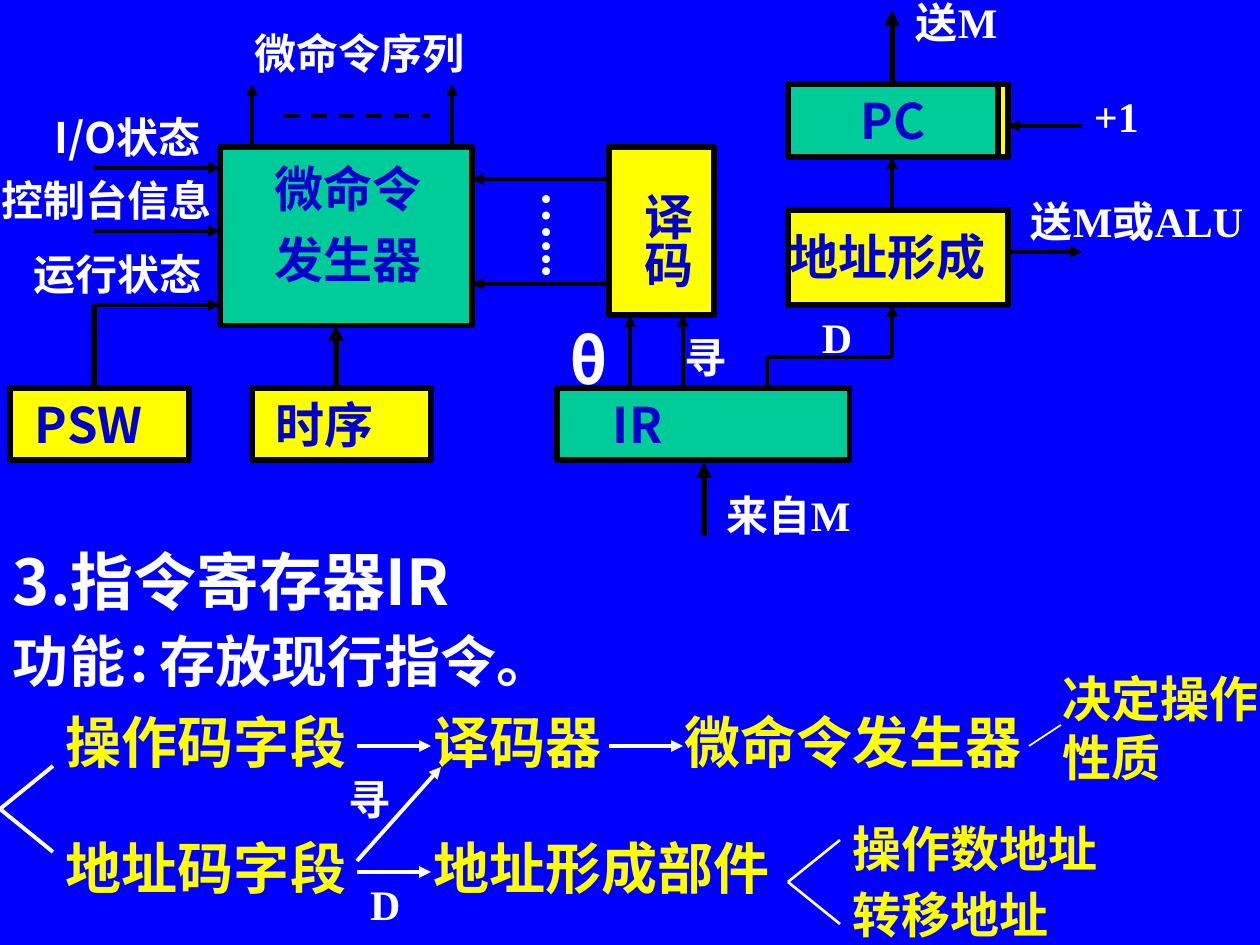
from pptx import Presentation
from pptx.dml.color import RGBColor
from pptx.enum.dml import MSO_LINE
from pptx.enum.shapes import MSO_CONNECTOR, MSO_SHAPE
from pptx.enum.text import MSO_ANCHOR, MSO_AUTO_SIZE, PP_ALIGN
from pptx.oxml.ns import qn
from pptx.util import Pt
from lxml.etree import SubElement

EMU_PER_PX = 914400 // 126
NOTO, TIMES = "Noto Sans CJK SC", "Times New Roman"
BLUE, NAVY, WHITE, YELLOW = "0000FF", "0000CC", "FFFFFF", "FFFF00"
GREEN, BLACK = "00CC99", "000000"


def px(n):
    return n * EMU_PER_PX


def rgb(color):
    return RGBColor.from_string(color)


class Diagram:
    """Holds the text style and the slide being drawn."""

    def __init__(self, slide, ea_font=NOTO):
        self.slide = slide
        self.ea_font = ea_font

    def background(self, color):
        fill = self.slide.background.fill
        fill.solid()
        fill.fore_color.rgb = rgb(color)

    def set_text(self, sp, lines, size, color, font=TIMES, spacing=1.0, indent=13):
        """Put bold, left-aligned paragraphs at the top of a shape."""
        tf = sp.text_frame
        tf.text = lines
        tf.word_wrap = True
        tf.auto_size = MSO_AUTO_SIZE.SHAPE_TO_FIT_TEXT
        tf.vertical_anchor = MSO_ANCHOR.TOP
        tf.margin_left = px(indent)
        for p in tf.paragraphs:
            p.alignment = PP_ALIGN.LEFT
            p.line_spacing = spacing
            p.space_before = Pt(size * 0.625)
            f = p.font
            f.size, f.bold, f.name = Pt(size), True, font
            f.color.rgb = rgb(color)
            SubElement(f._element, qn("a:ea"), typeface=self.ea_font)

    def text(self, x, y, w, h, lines, size=24, color=WHITE, **style):
        sp = self.slide.shapes.add_textbox(px(x), px(y), px(w), px(h))
        self.set_text(sp, lines, size, color, **style)

    def vertical_text(self, x, y, w, h, line, color):
        sp = self.slide.shapes.add_textbox(px(x), px(y), px(w), px(h))
        self.set_text(sp, line, 28, color, indent=6)
        tf = sp.text_frame
        tf.margin_right = px(6)
        tf.margin_top = tf.margin_bottom = px(13)
        tf._txBody.bodyPr.set("vert", "eaVert")

    def placeholder(self, idx, x, y, w, h, lines, size, color, **style):
        sp = self.slide.placeholders[idx]
        sp.left, sp.top, sp.width, sp.height = px(x), px(y), px(w), px(h)
        self.set_text(sp, lines, size, color, **style)
        for p in sp.text_frame.paragraphs:
            pPr = p._p.get_or_add_pPr()
            pPr.set("marL", "0")
            pPr.set("indent", "0")
            pPr.insert_element_before(pPr.makeelement(qn("a:buNone")),
                                      "a:tabLst", "a:defRPr")

    def box(self, x, y, w, h, fill, label=None, indent=13):
        sp = self.slide.shapes.add_shape(MSO_SHAPE.RECTANGLE, px(x), px(y), px(w), px(h))
        sp.shadow.inherit = False
        sp.fill.solid()
        sp.fill.fore_color.rgb = rgb(fill)
        sp.line.color.rgb = rgb(BLACK)
        sp.line.width = Pt(3)
        if label:
            self.set_text(sp, label, 28, NAVY, font=NOTO, indent=indent)

    def line(self, x1, y1, x2, y2, color=BLACK, width=2.25, arrow=False, dash=None):
        cn = self.slide.shapes.add_connector(
            MSO_CONNECTOR.STRAIGHT, px(x1), px(y1), px(x2), px(y2))
        cn.line.color.rgb = rgb(color)
        cn.line.width = Pt(width)
        if dash:
            cn.line.dash_style = dash
        if arrow:
            SubElement(cn.line._get_or_add_ln(), qn("a:tailEnd"), type="triangle")
        SubElement(cn._element.spPr, qn("a:effectLst"))

    def arrow(self, x1, y1, x2, y2, **style):
        self.line(x1, y1, x2, y2, arrow=True, **style)

    def fork(self, tip_x, end_x, y, half, width):
        """Two white branches opening to the right from one tip."""
        for dy in (-half, half):
            self.line(tip_x, y, end_x, y + dy, color=WHITE, width=width)


def draw_controller(d):
    # Micro-command generator with its inputs and outputs
    d.line(284, 116, 430, 116, dash=MSO_LINE.DASH)
    for x in (252, 452):
        d.arrow(x, 147, x, 84)
    d.text(242, 21, 242, 63, "微命令序列")
    for y in (168, 231, 305):
        d.arrow(94, y, 220, y)
    d.text(42, 105, 199, 63, "I/O状态", font=NOTO)
    d.text(-11, 168, 242, 63, "控制台信息")
    d.text(21, 242, 242, 63, "运行状态")
    d.line(94, 305, 94, 388, width=3)
    d.arrow(336, 399, 336, 325, width=3)
    d.box(10, 388, 179, 72, YELLOW, "PSW", indent=25)
    d.box(252, 388, 179, 72, YELLOW, "时序", indent=24)
    d.box(220, 147, 252, 179, GREEN)
    d.text(262, 168, 179, 126, "微命令\n发生器", 28, NAVY, spacing=0.7)

    # Decoder
    d.box(609, 147, 105, 168, YELLOW)
    d.vertical_text(620, 179, 83, 136, "译码", NAVY)
    for y in (179, 284):
        d.arrow(609, y, 472, y)
    d.vertical_text(515, 179, 83, 136, "…...", WHITE)


def draw_registers(d):
    # Program counter
    d.box(788, 84, 220, 73, YELLOW)
    d.box(788, 84, 210, 73, GREEN)
    d.text(848, 84, 150, 72, "PC", 28, NAVY, font=NOTO)
    d.arrow(892, 84, 892, 10, width=3)
    d.arrow(1082, 126, 1008, 126)
    d.text(903, -10, 136, 63, "送M")
    d.text(1081, 84, 136, 63, "+1")

    # Address forming
    d.box(788, 210, 220, 95, YELLOW)
    d.text(777, 220, 284, 72, "地址形成", 28, NAVY)
    d.arrow(892, 210, 892, 157)
    d.arrow(1008, 252, 1082, 252)
    d.text(1018, 189, 242, 113, "送M或ALU")

    # Instruction register
    for x in (630, 683):
        d.arrow(x, 388, x, 315)
    d.line(767, 388, 767, 357)
    d.line(767, 357, 892, 357)
    d.arrow(892, 357, 892, 305)
    d.arrow(704, 536, 704, 462, width=3)
    d.text(557, 315, 158, 88, "θ", 36, font=NOTO)
    d.text(809, 305, 136, 63, "D")
    d.text(672, 325, 136, 63, "寻")
    d.text(714, 483, 242, 63, "来自M")
    d.box(557, 388, 293, 72, GREEN, "IR", indent=56)


def draw_function(d):
    d.placeholder(0, 0, 536, 577, 88, "3.指令寄存器IR", 36, WHITE, font=NOTO)
    d.text(0, 620, 210, 81, "功能：", 32)
    d.text(147, 620, 462, 81, "存放现行指令。", 32)

    d.fork(0, 53, 809, 43, width=2.25)
    upper, lower = 725, 851
    for x, y, w, label in ((53, upper, 336, "操作码字段"), (420, upper, 231, "译码器"),
                           (672, upper, 410, "微命令发生器"),
                           (53, lower, 336, "地址码字段"), (420, lower, 462, "地址形成部件")):
        d.text(x, y, w, 53, label, 32, YELLOW, spacing=0.6)
    for x, y in ((357, upper), (609, upper), (357, lower)):
        d.arrow(x, y + 21, x + 74, y + 21, color=WHITE)
    d.arrow(357, 861, 441, 767, color=WHITE)
    d.text(336, 767, 105, 63, "寻")
    d.text(357, 872, 105, 63, "D")

    d.line(1029, 746, 1061, 725, color=WHITE, width=1)
    d.text(1050, 662, 242, 131, "决定操作性质", 28, YELLOW, font=NOTO)
    d.fork(788, 840, 882, 42, width=1.5)
    d.placeholder(1, 840, 833, 368, 115, "操作数地址\n转移地址", 28, YELLOW, spacing=0.6)


def main():
    prs = Presentation()
    prs.slide_width, prs.slide_height = px(1260), px(945)
    d = Diagram(prs.slides.add_slide(prs.slide_layouts[1]))
    d.background(BLUE)
    draw_controller(d)
    draw_registers(d)
    draw_function(d)
    prs.save("out.pptx")


if __name__ == "__main__":
    main()
